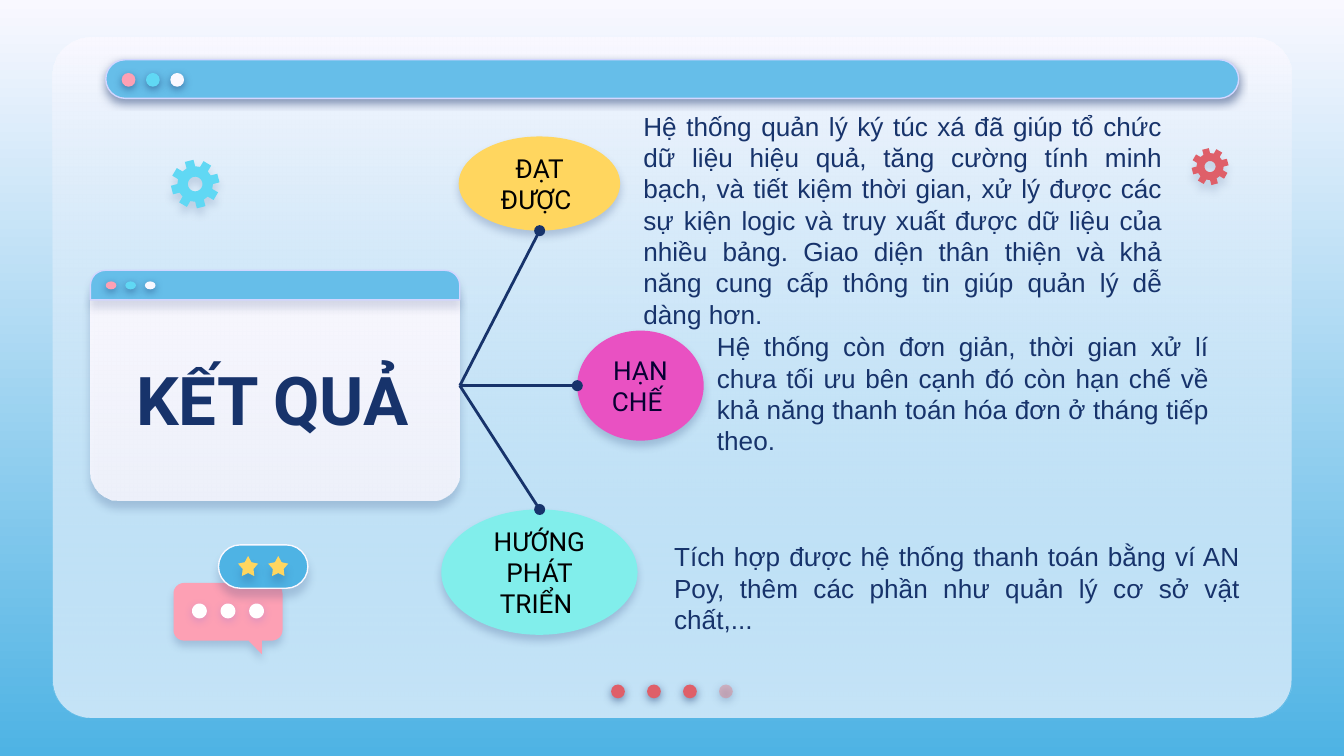
import math
from dataclasses import dataclass
from typing import Optional

import pptx
import pptx.dml.color
import pptx.enum.shapes
import pptx.enum.text
import pptx.oxml.ns
import pptx.util
from lxml import etree

Cm, Pt = pptx.util.Cm, pptx.util.Pt
RGBColor = pptx.dml.color.RGBColor
SHAPE = pptx.enum.shapes.MSO_SHAPE
ALIGN = pptx.enum.text.PP_ALIGN
ANCHOR = pptx.enum.text.MSO_ANCHOR
qn = pptx.oxml.ns.qn

NAVY = RGBColor(0x17, 0x33, 0x6B)
INDIGO = RGBColor(0x53, 0x52, 0xEE)
MIDNIGHT = RGBColor(0x07, 0x00, 0x32)
BLACK = RGBColor(0, 0, 0)
WHITE = RGBColor(0xFF, 0xFF, 0xFF)
MIST = RGBColor(0xF9, 0xF8, 0xFF)
LILAC = RGBColor(0xD2, 0xD6, 0xFF)
SKY = RGBColor(0x66, 0xBE, 0xE9)
BLUE = RGBColor(0x4E, 0xB3, 0xE4)
CYAN = RGBColor(0x60, 0xD8, 0xF4)
AQUA = RGBColor(0x81, 0xEE, 0xEB)
PINK = RGBColor(0xFD, 0xA0, 0xB4)
MAGENTA = RGBColor(0xE9, 0x51, 0xC2)
YELLOW = RGBColor(0xFF, 0xD6, 0x5F)
RED = RGBColor(0xDF, 0x5F, 0x69)
PALE_RED = RGBColor(0xE2, 0x7B, 0x83)


@dataclass(frozen=True)
class Box:
    """Position and size in centimetres."""
    left: float
    top: float
    width: float
    height: float

    def emu(self) -> tuple:
        return Cm(self.left), Cm(self.top), Cm(self.width), Cm(self.height)


@dataclass(frozen=True)
class Shadow:
    """Downward shadow: opacity in percent, distance in points."""
    opacity: int
    distance: float
    color: RGBColor = NAVY


@dataclass(frozen=True)
class Topic:
    label: str
    oval: Box
    fill: RGBColor
    ink: RGBColor
    joint: tuple
    detail: str
    detail_box: Box


DOT_SHADOW = Shadow(50, 1.5)
OVAL_SHADOW = Shadow(22, 3)
BADGE_SHADOW = Shadow(19, 4.5)
GEAR_SHADOW = Shadow(15, 3.8)

TOPICS = [
    Topic("HẠN CHẾ ", Box(10.91, 6.25, 2.39, 2.08), MAGENTA, MIDNIGHT, (10.91, 7.29),
          "Hệ thống còn đơn giản, thời gian xử lí chưa tối ưu bên cạnh đó còn hạn chế về "
          "khả năng thanh toán hóa đơn ở tháng tiếp theo.",
          Box(13.3, 6, 9.8, 3.23)),
    Topic("ĐẠT ĐƯỢC ", Box(8.67, 2.58, 3.05, 1.78), YELLOW, BLACK, (10.2, 4.36),
          "Hệ thống quản lý ký túc xá đã giúp tổ chức dữ liệu hiệu quả, tăng cường tính "
          "minh bạch, và tiết kiệm thời gian, xử lý được các sự kiện logic và truy xuất "
          "được dữ liệu của nhiều bảng. Giao diện thân thiện và khả năng cung cấp thông "
          "tin giúp quản lý dễ dàng hơn.",
          Box(11.91, 1.83, 10.31, 3.86)),
    Topic("HƯỚNG PHÁT TRIỂN ", Box(8.34, 9.63, 3.71, 2.37), AQUA, BLACK, (10.2, 9.63),
          "Tích hợp được hệ thống thanh toán bằng ví AN Poy, thêm các phần như quản lý "
          "cơ sở vật chất,...",
          Box(12.49, 9.97, 11.2, 2.08)),
]


def set_alpha(shape, percent: int) -> None:
    """Give the last colour set on the shape an opacity."""
    color = list(shape.element.spPr.iter(qn("a:srgbClr")))[-1]
    etree.SubElement(color, qn("a:alpha"), val=str(percent * 1000))


def set_gradient(fill, top: RGBColor, bottom: RGBColor) -> None:
    fill.gradient()
    fill.gradient_angle = 270
    for stop, color in zip(fill.gradient_stops, (top, bottom)):
        stop.color.rgb = color


def finish(shape, fill: RGBColor, shadow: Optional[Shadow] = None,
           line: Optional[RGBColor] = None, alpha: int = 100,
           gradient_end: Optional[RGBColor] = None):
    """Set fill, outline and shadow; alpha applies to the last fill colour."""
    if gradient_end is not None:
        set_gradient(shape.fill, fill, gradient_end)
    else:
        shape.fill.solid()
        shape.fill.fore_color.rgb = fill
    if alpha < 100:
        set_alpha(shape, alpha)
    if line is None:
        shape.line.fill.background()
    else:
        shape.line.color.rgb = line
        shape.line.width = Pt(0.75)
    shape.shadow.inherit = False
    if shadow:
        effects = shape.element.spPr.find(qn("a:effectLst"))
        outer = etree.SubElement(effects, qn("a:outerShdw"), blurRad=str(Pt(4.5)),
                                 dist=str(Pt(shadow.distance)), dir="5400000",
                                 algn="bl", rotWithShape="0")
        color = etree.SubElement(outer, qn("a:srgbClr"), val=str(shadow.color))
        etree.SubElement(color, qn("a:alpha"), val=str(shadow.opacity * 1000))
    return shape


def add_preset(slide, kind, box: Box, fill: RGBColor, adjust=(), **style):
    shape = slide.shapes.add_shape(kind, *box.emu())
    for index, value in enumerate(adjust):
        shape.adjustments[index] = value
    return finish(shape, fill, **style)


def add_row(slide, kind, first: Box, step: float, fills, shadow: Shadow, adjust=()) -> None:
    """Place equal shapes side by side, one for each fill."""
    for i, fill in enumerate(fills):
        box = Box(first.left + i * step, first.top, first.width, first.height)
        add_preset(slide, kind, box, fill, adjust, shadow=shadow)


def polar(x: float, y: float, radius: float, degrees: float) -> tuple:
    angle = math.radians(degrees)
    return x + radius * math.cos(angle), y + radius * math.sin(angle)


def arc(x: float, y: float, radius: float, start: int, end: int) -> list:
    return [polar(x, y, radius, a) for a in range(start, end + 1, 15)]


def add_outline(slide, contours, fill: RGBColor, shadow: Shadow) -> None:
    contours = [[(Cm(x), Cm(y)) for x, y in points] for points in contours]
    builder = slide.shapes.build_freeform(*contours[0][0])
    for points in contours:
        builder.move_to(*points[0])
        builder.add_line_segments(points[1:], close=True)
    finish(builder.convert_to_shape(), fill, shadow)


def add_gear(slide, x: float, y: float, radius: float, fill: RGBColor) -> None:
    profile = ((-4, 1), (-25, 1), (-29, 0.73), (-45, 0.73))
    teeth = [polar(x, y, radius * share, -90 - 45 * tooth + offset)
             for tooth in range(8) for offset, share in profile]
    add_outline(slide, [teeth, arc(x, y, radius * 0.3, 0, 345)], fill, GEAR_SHADOW)


def add_bubble(slide, box: Box, radius: float) -> None:
    """Rounded speech bubble with a tail at the lower right and three dots."""
    left, top = box.left + radius, box.top + radius
    right, bottom = box.left + box.width - radius, box.top + box.height - radius
    tail = [(4.95, box.top + box.height), (4.95, 12.37), (4.7, box.top + box.height)]
    points = (arc(left, top, radius, 180, 270) + arc(right, top, radius, 270, 360)
              + arc(right, bottom, radius, 0, 90) + tail
              + arc(left, bottom, radius, 90, 180))
    add_outline(slide, [points], PINK, Shadow(18, 3))
    dots = [arc(3.77 + i * 0.54, 11.55, 0.14, 0, 345) for i in range(3)]
    add_outline(slide, dots, WHITE, Shadow(18, 1.5, INDIGO))


def write(shape, text: str, size: float, font: str, color: RGBColor, align,
          anchor=ANCHOR.MIDDLE, bold: bool = False, after: float = 0) -> None:
    frame = shape.text_frame
    frame.word_wrap = True
    frame.vertical_anchor = anchor
    frame.margin_left = frame.margin_right = Cm(0.25)
    frame.margin_top = frame.margin_bottom = Cm(0.25)
    paragraph = frame.paragraphs[0]
    paragraph.alignment = align
    paragraph.space_after = Pt(after)
    run = paragraph.add_run()
    run.text = text
    run.font.size, run.font.name, run.font.bold = Pt(size), font, bold
    run.font.color.rgb = color


def add_branch(slide, window, joint: tuple) -> None:
    branch = slide.shapes.add_connector(pptx.enum.shapes.MSO_CONNECTOR.STRAIGHT,
                                        Cm(8.69), Cm(7.29), Cm(joint[0]), Cm(joint[1]))
    branch.begin_connect(window, 3)
    branch.line.color.rgb = NAVY
    branch.line.width = Pt(1.5)
    properties = branch.element.spPr
    etree.SubElement(properties.find(qn("a:ln")), qn("a:tailEnd"), type="oval")
    etree.SubElement(properties, qn("a:effectLst"))


def main() -> None:
    deck = pptx.Presentation()
    deck.slide_width, deck.slide_height = Cm(25.4), Cm(14.29)
    slide = deck.slides.add_slide(deck.slide_layouts[6])
    set_gradient(slide.background.fill, MIST, BLUE)

    panel = Box(1, 0.71, 23.41, 12.86)
    add_preset(slide, SHAPE.ROUNDED_RECTANGLE, panel, MIST, (0.056,))
    add_preset(slide, SHAPE.ROUNDED_RECTANGLE, panel, MIST, (0.056,),
               gradient_end=SKY, alpha=35)
    add_row(slide, SHAPE.OVAL, Box(11.55, 12.94, 0.26, 0.26), 0.68, [RED] * 3, DOT_SHADOW)
    add_preset(slide, SHAPE.OVAL, Box(13.59, 12.94, 0.26, 0.26), PALE_RED, alpha=44,
               shadow=DOT_SHADOW)

    add_preset(slide, SHAPE.ROUNDED_RECTANGLE, Box(2, 1.13, 21.41, 0.73), SKY, (0.5,),
               line=LILAC, shadow=DOT_SHADOW)
    window = add_preset(slide, SHAPE.ROUNDED_RECTANGLE, Box(1.71, 5.11, 6.98, 4.36), MIST,
                        (0.124,), gradient_end=MIST, alpha=87, shadow=Shadow(22, 3.8))
    add_preset(slide, SHAPE.ROUND_2_SAME_RECTANGLE, Box(1.71, 5.11, 6.98, 0.56), SKY,
               (0.5, 0), line=LILAC, shadow=GEAR_SHADOW)
    for first, step in ((Box(2.3, 1.38, 0.26, 0.26), 0.46),
                        (Box(2, 5.32, 0.2, 0.15), 0.37)):
        add_row(slide, SHAPE.OVAL, first, step, (PINK, CYAN, MIST), DOT_SHADOW)
    title = slide.shapes.add_textbox(*Box(1.58, 5.84, 7.14, 3.4).emu())
    write(title, "KẾT QUẢ", 36, "Roboto", NAVY, ALIGN.CENTER, bold=True)

    for topic in TOPICS:
        oval = add_preset(slide, SHAPE.OVAL, topic.oval, topic.fill, shadow=OVAL_SHADOW)
        write(oval, topic.label, 14, "Roboto", topic.ink, ALIGN.CENTER)
        detail = slide.shapes.add_textbox(*topic.detail_box.emu())
        write(detail, topic.detail, 14, "Arial", NAVY, ALIGN.JUSTIFY, ANCHOR.TOP, after=12)
    for topic in TOPICS:
        add_branch(slide, window, topic.joint)

    add_bubble(slide, Box(3.28, 11.02, 2.06, 1.09), 0.2)
    add_preset(slide, SHAPE.ROUNDED_RECTANGLE, Box(4.13, 10.3, 1.69, 0.82), BLUE, (0.5,),
               line=MIST, shadow=BADGE_SHADOW)
    add_row(slide, SHAPE.STAR_5_POINT, Box(4.5, 10.51, 0.38, 0.38), 0.57, [YELLOW] * 2,
            BADGE_SHADOW, (0.27,))
    add_gear(slide, 22.87, 3.15, 0.35, RED)
    add_gear(slide, 3.69, 3.48, 0.46, CYAN)
    deck.save("out.pptx")


if __name__ == "__main__":
    main()
